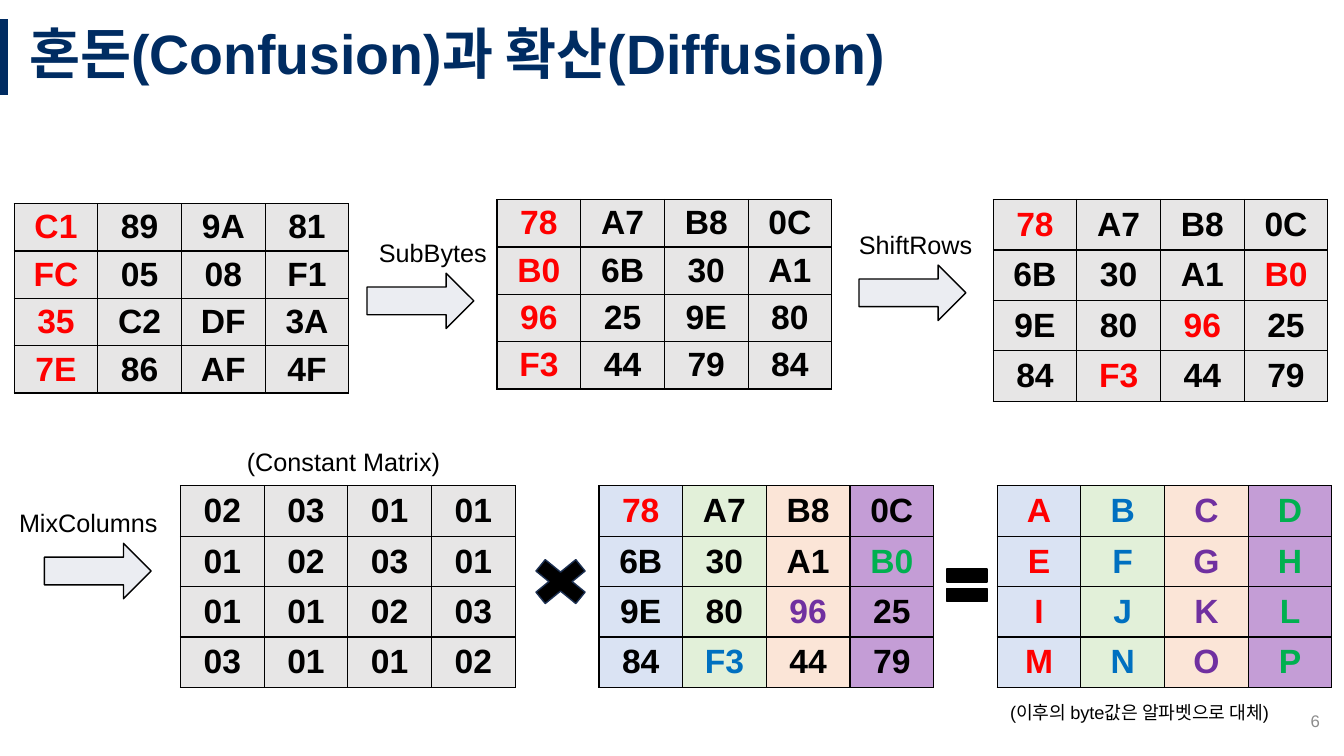
import pptx
import pptx.util
import pptx.dml.color
import pptx.enum.shapes
import pptx.enum.text
import pptx.oxml
import pptx.oxml.ns

Inches = pptx.util.Inches
Pt = pptx.util.Pt
ALIGN = pptx.enum.text.PP_ALIGN
MIDDLE = pptx.enum.text.MSO_ANCHOR.MIDDLE
SHAPE = pptx.enum.shapes.MSO_SHAPE
BLACK, RED, BLUE, PURPLE, GREEN = "000000", "FF0000", "0070C0", "7030A0", "00B050"
NAVY, GRAY, PALE = "002C62", "E7E6E6", "EBEDF2"


def paint(target, color):
    if hasattr(target, "solid"):
        target.solid()
        target.fore_color.rgb = pptx.dml.color.RGBColor.from_string(color)
    else:
        target.rgb = pptx.dml.color.RGBColor.from_string(color)


def write(frame, text, size=18, color=BLACK, bold=False, align=ALIGN.LEFT, spacing=None):
    para = frame.paragraphs[0]
    para.alignment = align
    para.line_spacing = spacing
    span = para.add_run()
    span.text = text
    span.font.name = "Arial"
    span.font.size = Pt(size)
    span.font.bold = bold
    paint(span.font.color, color)


deck = pptx.Presentation()
deck.slide_width = Inches(13.33)
deck.slide_height = Inches(7.5)
page = deck.slides.add_slide(deck.slide_layouts[5])

bar = page.shapes.add_connector(
    pptx.enum.shapes.MSO_CONNECTOR.STRAIGHT,
    Inches(0.04), Inches(0.19), Inches(0.04), Inches(0.94))
paint(bar.line.fill, NAVY)
bar.line.width = Pt(6)
bar.element.spPr.append(pptx.oxml.parse_xml(
    f'<a:effectLst {pptx.oxml.ns.nsdecls("a")}/>'))

title = page.shapes.title
title.left, title.top = Inches(0.19), Inches(0.19)
title.width, title.height = Inches(13.15), Inches(0.75)
title.text_frame.auto_size = pptx.enum.text.MSO_AUTO_SIZE.NONE
title.text_frame.vertical_anchor = MIDDLE
write(title.text_frame, "혼돈(Confusion)과 확산(Diffusion)",
      size=39.6, color=NAVY, bold=True, spacing=0.9)

gray_columns = [GRAY] * 4
tinted_columns = ["DAE3F3", "E2F0D9", "FBE5D7", "C49DD6"]
first_column = {"C1": RED, "FC": RED, "35": RED, "7E": RED}
substituted = {"78": RED, "B0": RED, "96": RED, "F3": RED}
by_column = {"78": RED, "F3": BLUE, "96": PURPLE, "B0": GREEN}
letters = "A B C D E F G H I J K L M N O P"
letter_colors = dict(zip(letters.split(), [RED, BLUE, PURPLE, GREEN] * 4))
shifted = "78 A7 B8 0C 6B 30 A1 B0 9E 80 96 25 84 F3 44 79"

matrices = [
    (0.14, 2.02, 0.47, "C1 89 9A 81 FC 05 08 F1 35 C2 DF 3A 7E 86 AF 4F",
     gray_columns, first_column),
    (4.93, 1.98, 0.47, "78 A7 B8 0C B0 6B 30 A1 96 25 9E 80 F3 44 79 84",
     gray_columns, substituted),
    (9.85, 1.98, 0.5, shifted, gray_columns, substituted),
    (1.79, 4.82, 0.5, "02 03 01 01 01 02 03 01 01 01 02 03 03 01 01 02",
     gray_columns, {}),
    (5.94, 4.82, 0.5, shifted, tinted_columns, by_column),
    (9.89, 4.82, 0.5, letters, tinted_columns, letter_colors),
]
for left, top, row_height, values, fills, highlights in matrices:
    grid = page.shapes.add_table(
        4, 4, Inches(left), Inches(top), Inches(3.32), Inches(4 * row_height)).table
    grid.first_row = False
    grid.horz_banding = False
    for index, value in enumerate(values.split()):
        row, column = divmod(index, 4)
        cell = grid.cell(row, column)
        cell.vertical_anchor = MIDDLE
        cell.margin_top = cell.margin_bottom = Inches(0.03)
        write(cell.text_frame, value, size=24, color=highlights.get(value, BLACK),
              bold=True, align=ALIGN.CENTER)
        properties = cell._tc.get_or_add_tcPr()
        for side in ("lnL", "lnR", "lnT", "lnB"):
            properties.append(pptx.oxml.parse_xml(
                f'<a:{side} {pptx.oxml.ns.nsdecls("a")} w="12700"><a:solidFill>'
                f'<a:srgbClr val="{BLACK}"/></a:solidFill></a:{side}>'))
        paint(cell.fill, fills[column])

symbols = [
    (SHAPE.RIGHT_ARROW, 3.64, 2.71, 1.06, 0.55, PALE, BLACK, [0.5, 0.5]),
    (SHAPE.RIGHT_ARROW, 8.52, 2.63, 1.06, 0.55, PALE, BLACK, [0.5, 0.5]),
    (SHAPE.RIGHT_ARROW, 0.44, 5.39, 1.06, 0.55, PALE, BLACK, [0.5, 0.5]),
    (SHAPE.MATH_MULTIPLY, 5.18, 5.46, 0.76, 0.62, BLACK, "1C3052", [0.235]),
    (SHAPE.MATH_EQUAL, 9.32, 5.53, 0.54, 0.55, BLACK, BLACK, [0.235, 0.118]),
]
for kind, left, top, width, height, fill, outline, adjustments in symbols:
    symbol = page.shapes.add_shape(
        kind, Inches(left), Inches(top), Inches(width), Inches(height))
    symbol.shadow.inherit = False
    paint(symbol.fill, fill)
    paint(symbol.line.fill, outline)
    symbol.line.width = Pt(1)
    for position, amount in enumerate(adjustments):
        symbol.adjustments[position] = amount

labels = [
    ("SubBytes", 3.66, 2.3, 1.54, 0.4, {}),
    ("ShiftRows", 8.42, 2.23, 1.45, 0.4, {}),
    ("MixColumns", 0.09, 4.98, 1.82, 0.4, {}),
    ("(Constant Matrix)", 2.35, 4.38, 2.41, 0.4, {}),
    ("(이후의 byte값은 알파벳으로 대체)", 9.92, 6.91, 3.18, 0.31, {"size": 13}),
    ("6", 10.19, 6.95, 3, 0.4, {"size": 12, "color": "8C8C8C", "align": ALIGN.RIGHT}),
]
for text, left, top, width, height, style in labels:
    box = page.shapes.add_textbox(
        Inches(left), Inches(top), Inches(width), Inches(height))
    box.text_frame.word_wrap = True
    box.text_frame.vertical_anchor = MIDDLE
    write(box.text_frame, text, **style)

deck.save("out.pptx")
